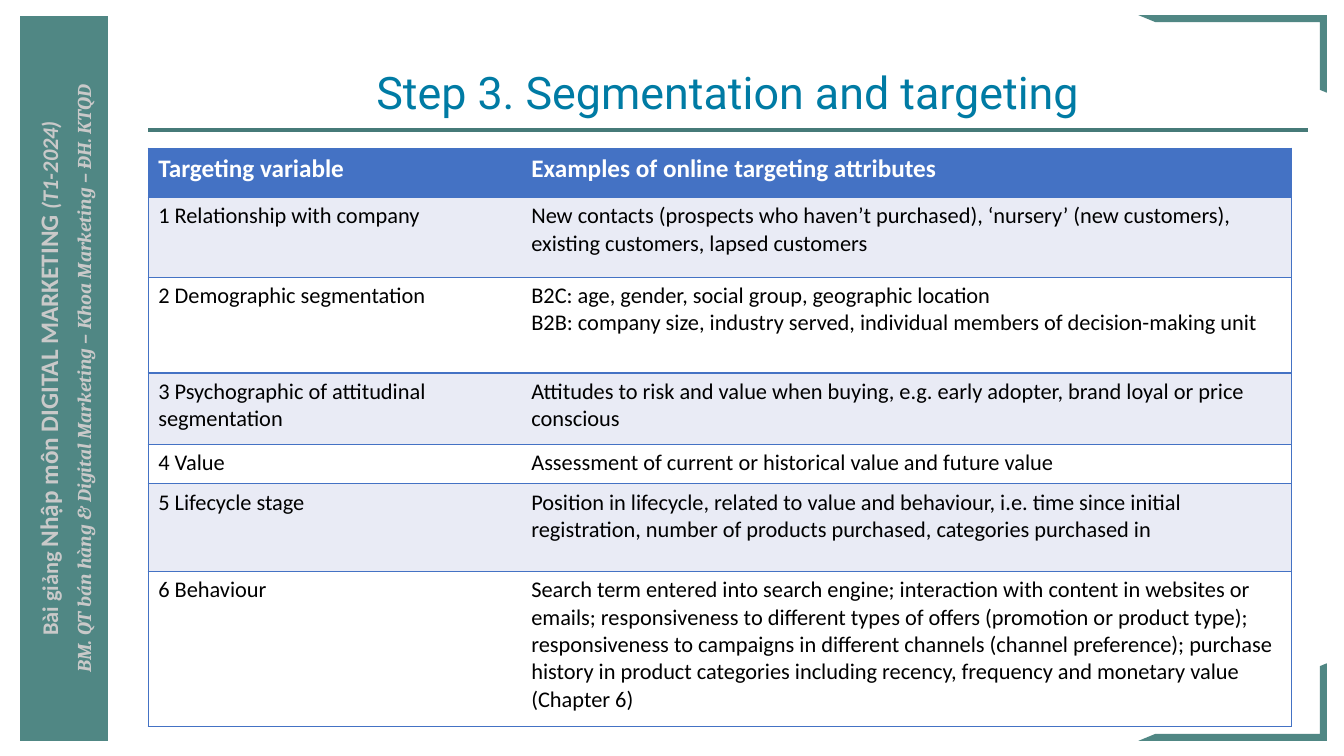
from lxml import etree
from pptx import Presentation
from pptx.dml.color import RGBColor
from pptx.enum.shapes import MSO_CONNECTOR, MSO_SHAPE
from pptx.enum.text import MSO_ANCHOR, MSO_AUTO_SIZE, PP_ALIGN
from pptx.oxml.ns import qn
from pptx.util import Pt

PX = 9144
RECT, HALF_FRAME = MSO_SHAPE.RECTANGLE, MSO_SHAPE.HALF_FRAME
STRAIGHT = MSO_CONNECTOR.STRAIGHT
MIDDLE, CENTER, NO_FIT = MSO_ANCHOR.MIDDLE, PP_ALIGN.CENTER, MSO_AUTO_SIZE.NONE
TEAL, BLUE, PALE, WHITE, GREY = "508784", "4472C4", "E9EBF5", "FFFFFF", "C9C9C9"
COLUMNS = [370, 764]
ROWS = [
    (49, "Targeting variable", "Examples of online targeting attributes"),
    (79, "1 Relationship with company",
     "New contacts (prospects who haven’t purchased), ‘nursery’ (new customers), "
     "existing customers, lapsed customers"),
    (95, "2 Demographic segmentation",
     "B2C: age, gender, social group, geographic location\n"
     "B2B: company size, industry served, individual members of decision-making unit"),
    (71, "3 Psychographic of attitudinal segmentation",
     "Attitudes to risk and value when buying, e.g. early adopter, brand loyal or price conscious"),
    (39, "4 Value", "Assessment of current or historical value and future value"),
    (87, "5 Lifecycle stage",
     "Position in lifecycle, related to value and behaviour, i.e. time since initial "
     "registration, number of products purchased, categories purchased in"),
    (154, "6 Behaviour",
     "Search term entered into search engine; interaction with content in websites or emails; "
     "responsiveness to different types of offers (promotion or product type); "
     "responsiveness to campaigns in different channels (channel preference); "
     "purchase history in product categories including recency, frequency and monetary value "
     "(Chapter 6)"),
]


def px(*values):
    """Turn px lengths into EMU."""
    return [v * PX for v in values]


def rgb(color):
    """Turn a hex string into a colour."""
    return RGBColor.from_string(color)


def add_run(p, text, size=16, font="Calibri", color="000000", bold=False, italic=False):
    """Add formatted text to a paragraph."""
    r = p.add_run()
    r.text = text
    f = r.font
    f.size, f.name, f.bold, f.italic = Pt(size), font, bold, italic
    f.color.rgb = rgb(color)


def add_block(s, kind, box):
    """Add a plain teal shape."""
    sp = s.shapes.add_shape(kind, *px(*box))
    sp.shadow.inherit = False
    sp.fill.solid()
    sp.fill.fore_color.rgb = rgb(TEAL)
    sp.line.fill.background()
    return sp


def add_sidebar(s, box):
    """Add the side band with its two upward lines of text."""
    tf = add_block(s, RECT, box).text_frame
    tf.word_wrap = True
    tf.vertical_anchor = MIDDLE
    tf._txBody.bodyPr.set("vert", "vert270")
    course = tf.paragraphs[0]
    add_run(course, "Bài giảng ", color=GREY, bold=True)
    add_run(course, "Nhập môn DIGITAL MARKETING ", size=18, color=GREY, bold=True)
    add_run(course, "(T1-2024)", color=GREY, bold=True, italic=True)
    faculty = tf.add_paragraph()
    faculty.space_before = Pt(6)
    add_run(faculty, "BM. QT bán hàng & Digital Marketing – Khoa Marketing – ĐH. KTQD",
            size=14, font="Cambria", color=GREY, bold=True, italic=True)
    for p in tf.paragraphs:
        p.alignment = CENTER


def add_corners(s, box):
    """Add half frames at the top and bottom right of the box."""
    x, y, w, h = box
    fw, fh = 187, 77
    left = x + w - fw
    top = add_block(s, HALF_FRAME, (left, y, fw, fh))
    bottom = add_block(s, HALF_FRAME, (left, y + h - fh, fw, fh))
    top.element.spPr.xfrm.set("flipH", "1")
    bottom.rotation = 180
    for sp in (top, bottom):
        sp.adjustments[0], sp.adjustments[1] = 0.09, 0.09


def add_title(s, box):
    """Fill the title placeholder and rule a line under it."""
    x, y, w, h = box
    line = s.shapes.add_connector(STRAIGHT, *px(x, y + 92, x + w, y + 92))
    line.line.color.rgb = rgb("467A78")
    line.line.width = Pt(2.25)
    etree.SubElement(line.element.spPr, qn("a:effectLst"))
    sp = s.shapes.title
    sp.left, sp.top, sp.width, sp.height = px(*box)
    tf = sp.text_frame
    tf.word_wrap = True
    tf.auto_size = NO_FIT
    tf.vertical_anchor = MIDDLE
    p = tf.paragraphs[0]
    p.alignment = CENTER
    p.line_spacing = 0.9
    add_run(p, "Step 3. Segmentation and targeting", size=32, font="Roboto", color="007BA4")


def set_borders(cell, inner):
    """Draw blue cell borders on every side but the inner one."""
    tcPr = cell._tc.get_or_add_tcPr()
    for side in "LRTB":
        ln = etree.SubElement(tcPr, qn(f"a:ln{side}"), w=str(Pt(1)))
        if side == inner:
            etree.SubElement(ln, qn("a:noFill"))
        else:
            fill = etree.SubElement(ln, qn("a:solidFill"))
            etree.SubElement(fill, qn("a:srgbClr"), val=BLUE)


def add_targeting_table(s, x, y):
    """Add the table of targeting variables with its top left at x, y."""
    size = sum(COLUMNS), sum(row[0] for row in ROWS)
    table = s.shapes.add_table(len(ROWS), len(COLUMNS), *px(x, y, *size)).table
    table.horz_banding = False
    for column, width in zip(table.columns, px(*COLUMNS)):
        column.width = width
    for i, (height, *texts) in enumerate(ROWS):
        table.rows[i].height = height * PX
        head = i == 0
        fill = BLUE if head else PALE if i % 2 else WHITE
        for j, text in enumerate(texts):
            cell = table.cell(i, j)
            set_borders(cell, "RL"[j])
            cell.fill.solid()
            cell.fill.fore_color.rgb = rgb(fill)
            tf = cell.text_frame
            for k, part in enumerate(text.split("\n")):
                p = tf.add_paragraph() if k else tf.paragraphs[0]
                add_run(p, part, size=18 if head else 16,
                        color=WHITE if head else "000000", bold=head)


def main():
    """Build and save the slide."""
    prs = Presentation()
    prs.slide_width, prs.slide_height = px(1333, 750)
    s = prs.slides.add_slide(prs.slide_layouts[5])
    add_sidebar(s, (20, 16, 87, 719))
    add_corners(s, (20, 15, 1296, 720))
    add_title(s, (147, 37, 1150, 115))
    add_targeting_table(s, 147, 147)
    prs.save("out.pptx")


if __name__ == "__main__":
    main()
